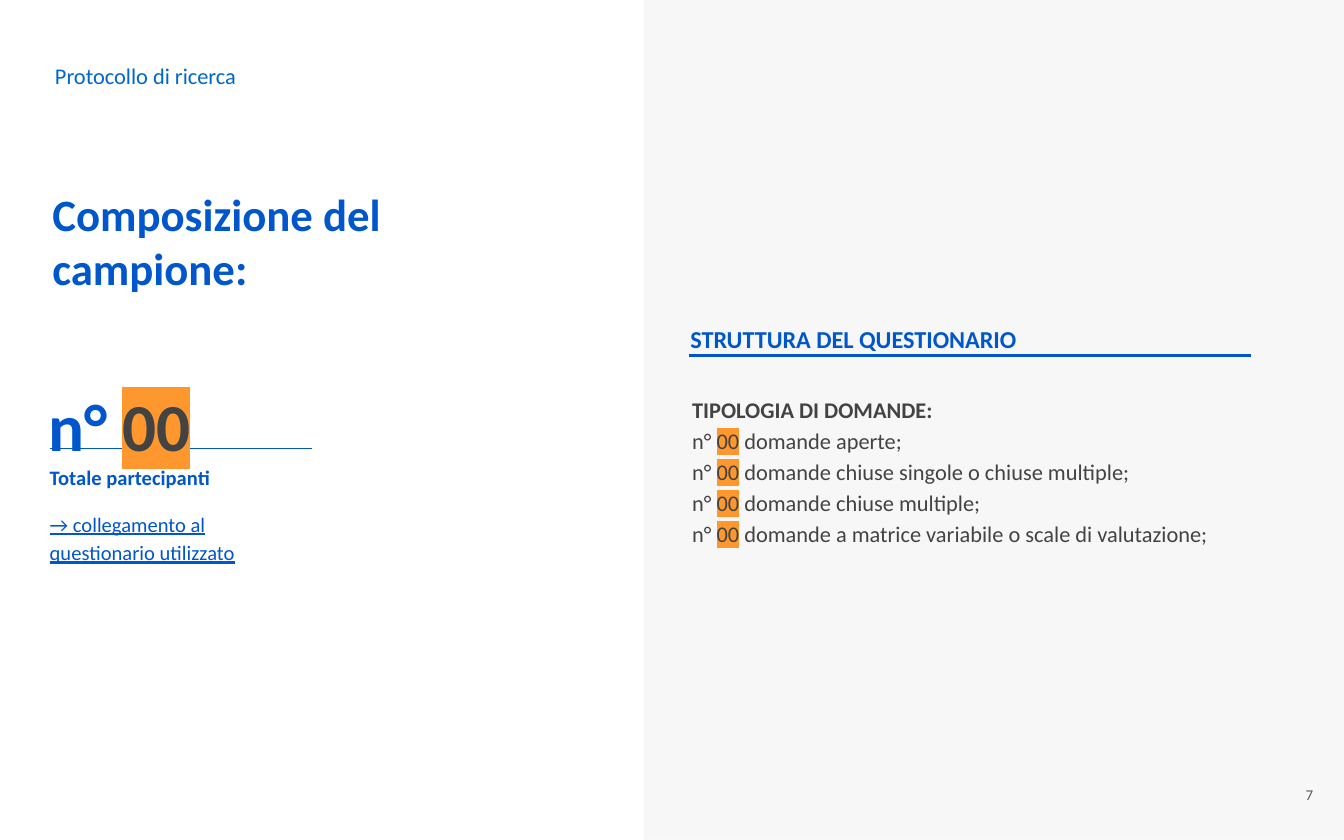
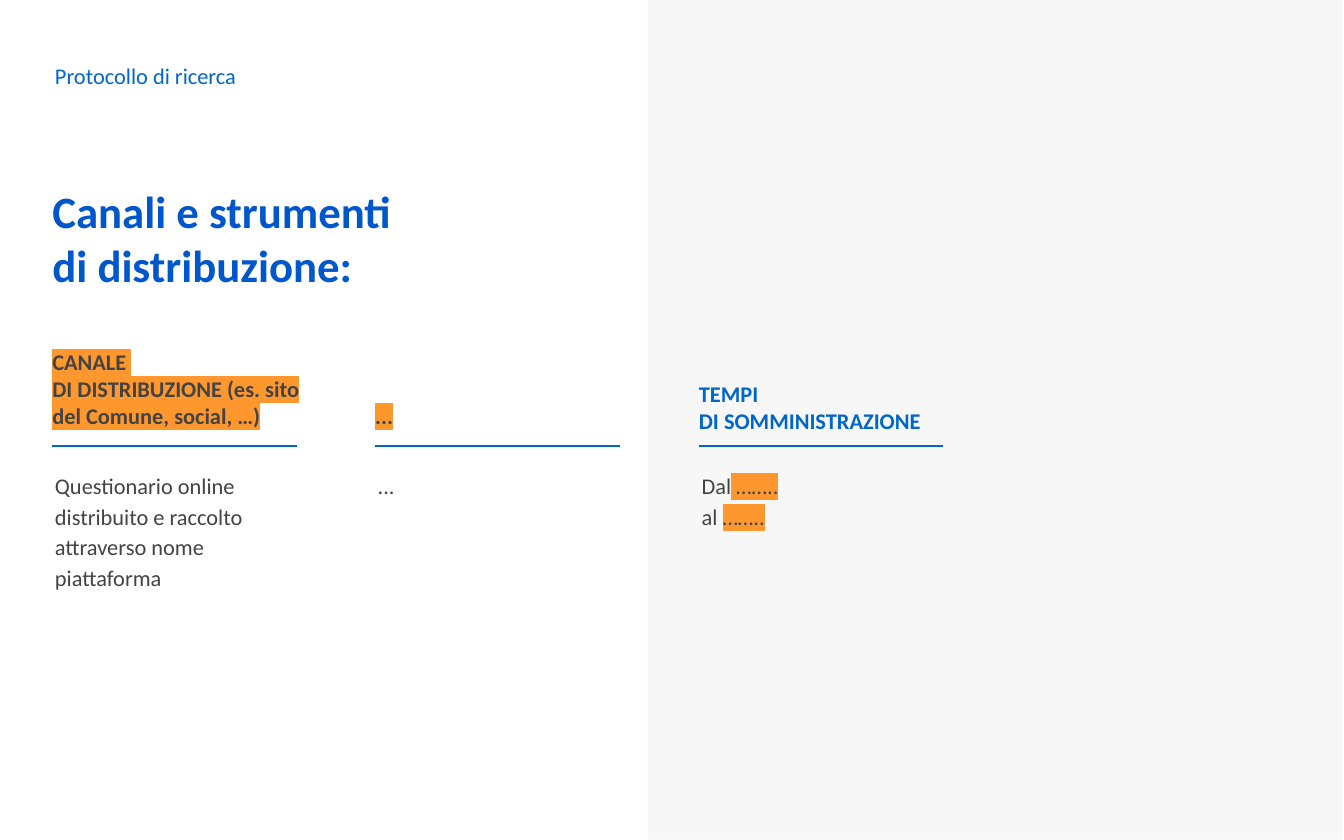
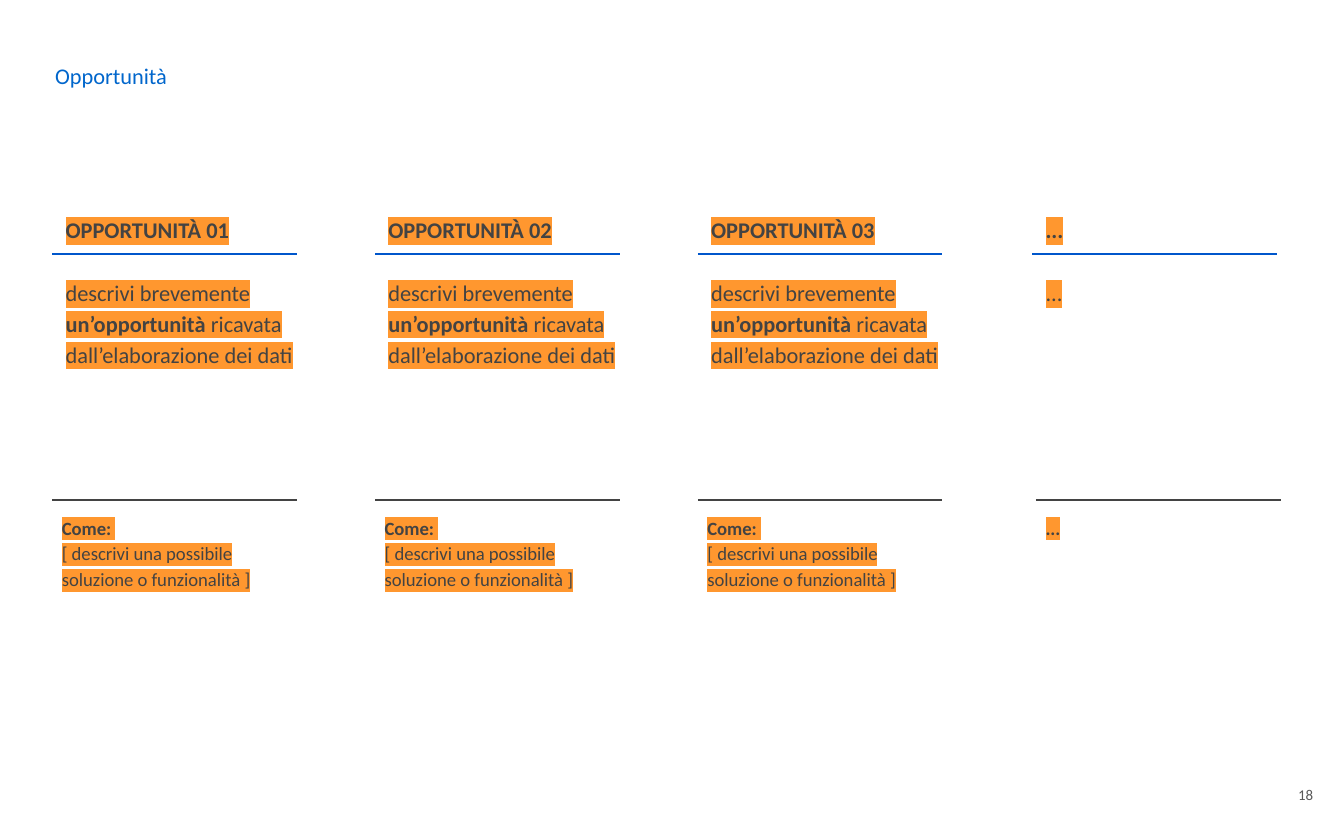
import pptx
import pptx.dml.color
import pptx.enum.shapes
import pptx.enum.text
import pptx.oxml
import pptx.oxml.ns
import pptx.util
from pptx.util import Cm

FONT = "Calibri"
BLUE = "0056CB"
SECTION_BLUE = "0066CC"
DARK = "434343"
GREY = "595959"
PALE = "F7F7F7"
ORANGE = "FF972F"
WHITE = "FFFFFF"

TOP = pptx.enum.text.MSO_ANCHOR.TOP
MIDDLE = pptx.enum.text.MSO_ANCHOR.MIDDLE
BOTTOM = pptx.enum.text.MSO_ANCHOR.BOTTOM
LEFT = pptx.enum.text.PP_ALIGN.LEFT
RIGHT = pptx.enum.text.PP_ALIGN.RIGHT

MARGIN = 0.99
PITCH = 6.1
RULE_WIDTH = 4.62
INSET = 0.25
SECTION_BOX = (0.79, 0.99, 10.77, 0.86)
MARKED = {"highlight": ORANGE}
TITLE_STYLE = {"size": 24, "color": BLUE, "bold": True}


def rgb(value):
    return pptx.dml.color.RGBColor.from_string(value)


def add_run(paragraph, text, size=12, color=DARK, bold=False, underline=False, highlight=None):
    run = paragraph.add_run()
    run.text = text
    font = run.font
    font.name = FONT
    font.size = pptx.util.Pt(size)
    font.bold = bold
    font.underline = underline
    font.color.rgb = rgb(color)
    if highlight:
        properties = run._r.get_or_add_rPr()
        marker = pptx.oxml.parse_xml(
            f'<a:highlight {pptx.oxml.ns.nsdecls("a")}><a:srgbClr val="{highlight}"/></a:highlight>'
        )
        properties.find(pptx.oxml.ns.qn("a:solidFill")).addnext(marker)


def remove_bullet(paragraph):
    properties = paragraph._p.get_or_add_pPr()
    properties.set("marL", "0")
    properties.set("indent", "0")
    properties.append(pptx.oxml.parse_xml(f'<a:buNone {pptx.oxml.ns.nsdecls("a")}/>'))


def add_text(slide, box, lines, holder=None, anchor=TOP, align=LEFT, spacing=1.0, **style):
    left, top, width, height = map(Cm, box)
    if holder is None:
        area = slide.shapes.add_textbox(left, top, width, height)
    else:
        area = holder
        area.left, area.top, area.width, area.height = left, top, width, height
        slide.shapes._spTree.append(area._element)
    frame = area.text_frame
    frame.word_wrap = True
    frame.auto_size = pptx.enum.text.MSO_AUTO_SIZE.NONE
    frame.vertical_anchor = anchor
    frame.margin_left = frame.margin_right = Cm(INSET)
    frame.margin_top = frame.margin_bottom = Cm(INSET)
    for index, line in enumerate(lines):
        paragraph = frame.add_paragraph() if index else frame.paragraphs[0]
        paragraph.alignment = align
        paragraph.line_spacing = spacing
        paragraph.space_before = pptx.util.Pt(0)
        if holder is not None:
            remove_bullet(paragraph)
        for part in [(line, {})] if isinstance(line, str) else line:
            text, changes = part
            add_run(paragraph, text, **{**style, **changes})


def add_rule(slide, left, top, width=RULE_WIDTH, color=BLUE, weight=1.5):
    rule = slide.shapes.add_connector(
        pptx.enum.shapes.MSO_CONNECTOR.STRAIGHT, Cm(left), Cm(top), Cm(left + width), Cm(top)
    )
    rule.line.color.rgb = rgb(color)
    rule.line.width = pptx.util.Pt(weight)
    rule._element.spPr.append(pptx.oxml.parse_xml(f'<a:effectLst {pptx.oxml.ns.nsdecls("a")}/>'))


def add_panel(slide, left, width):
    panel = slide.shapes.add_shape(
        pptx.enum.shapes.MSO_SHAPE.RECTANGLE, Cm(left), Cm(-0.03), Cm(width), Cm(15.9)
    )
    panel.shadow.inherit = False
    panel.fill.solid()
    panel.fill.fore_color.rgb = rgb(PALE)
    panel.line.fill.background()


def add_section(slide, section, holder=None):
    add_text(slide, SECTION_BOX, [section], holder, anchor=MIDDLE, color=SECTION_BLUE)


def add_page_number(slide, number):
    add_text(slide, (23.55, 14.4, 1.52, 1.22), [number],
             anchor=MIDDLE, align=RIGHT, size=8, color=GREY)


def new_slide(deck, layout):
    slide = deck.slides.add_slide(deck.slide_layouts.get_by_name(layout))
    slide.background.fill.solid()
    slide.background.fill.fore_color.rgb = rgb(WHITE)
    return slide


def build_sample(deck):
    slide = new_slide(deck, "Title and Content")
    add_panel(slide, 12.17, 13.23)
    add_page_number(slide, "7")
    add_section(slide, "Protocollo di ricerca")
    kinds = ["aperte;", "chiuse singole o chiuse multiple;", "chiuse multiple;",
             "a matrice variabile o scale di valutazione;"]
    questions = [[("n° ", {}), ("00", MARKED), (f" domande {kind}", {})] for kind in kinds]
    add_text(slide, (12.83, 7.16, 12.34, 3.63),
             [[("TIPOLOGIA DI DOMANDE:", {"bold": True})], *questions],
             slide.placeholders[1], spacing=1.15)
    add_text(slide, (12.8, 5.87, 7.57, 0.86), ["STRUTTURA DEL QUESTIONARIO"],
             size=13, color=BLUE, bold=True)
    add_rule(slide, 13.03, 6.72, 10.62)
    add_text(slide, (0.69, 8.46, 5.21, 0.89), ["Totale partecipanti"],
             spacing=1.15, size=11, color=BLUE, bold=True)
    add_rule(slide, 0.94, 8.48, 4.95, weight=0.75)
    add_text(slide, (0.66, 6.78, 4.6, 1.45),
             [[("n° ", {}), ("00", {"color": DARK, **MARKED})]],
             spacing=1.15, size=36, color=BLUE, bold=True)
    add_text(slide, (0.74, 3.28, 8.99, 2.18), ["Composizione del campione:"],
             slide.shapes.title, **TITLE_STYLE)
    add_text(slide, (0.69, 9.35, 5.21, 0.89), ["→ collegamento al questionario utilizzato"],
             spacing=1.15, size=11, color=BLUE, underline=True)


def add_channel(slide, left, heading, details, heading_top=7.49, anchor=BOTTOM, **style):
    add_text(slide, (left - 0.25, heading_top, 5.41, 0.86), heading,
             anchor=anchor, bold=True, **style)
    add_rule(slide, left, 8.43, color=SECTION_BLUE)
    add_text(slide, (left - 0.2, 8.59, 4.83, 4.55), details, spacing=1.15)


def build_channels(deck):
    slide = new_slide(deck, "Title Only")
    add_panel(slide, 12.24, 13.13)
    add_section(slide, "Protocollo di ricerca")
    add_text(slide, (0.74, 3.23, 12.45, 2.44), ["Canali e strumenti", "di distribuzione:"],
             slide.shapes.title, **TITLE_STYLE)
    add_channel(slide, MARGIN,
                ["CANALE ", "DI DISTRIBUZIONE (es. sito del Comune, social, …)"],
                ["Questionario online distribuito e raccolto attraverso nome piattaforma"], **MARKED)
    add_channel(slide, MARGIN + PITCH, ["..."], ["..."], **MARKED)
    add_channel(slide, MARGIN + 2 * PITCH + 0.02, ["TEMPI", "DI SOMMINISTRAZIONE"],
                [[("Dal", {}), (" ……..", MARKED)], [("al ", {}), ("……..", MARKED)]],
                heading_top=6.93, anchor=TOP, color=SECTION_BLUE)


def add_opportunity(slide, left, heading, description, solution, solution_left, solution_rule_left):
    add_text(slide, (left, 3.84, 4.88, 0.86), [heading], bold=True, **MARKED)
    add_rule(slide, left, 4.8)
    add_text(slide, (left, 4.95, 4.8, 5.72), [description], spacing=1.15, **MARKED)
    add_text(slide, (solution_left, 9.45, 4.62, 3.07), solution, spacing=1.15, size=10, **MARKED)
    add_rule(slide, solution_rule_left, 9.45, color=DARK, weight=0.75)


def build_opportunities(deck):
    slide = new_slide(deck, "Title Only")
    add_page_number(slide, "18")
    add_section(slide, "Opportunità", slide.shapes.title)
    bold = {"bold": True}
    description = [("descrivi brevemente ", {}), ("un’opportunità ", bold),
                   ("ricavata dall’elaborazione dei dati", {})]
    solution = [[("Come: ", bold)], "[ descrivi una possibile soluzione o funzionalità ]"]
    for index in range(3):
        left = MARGIN + index * PITCH
        add_opportunity(slide, left, f"OPPORTUNITÀ {index + 1:02}", description, solution,
                        left - 0.07, left)
    add_opportunity(slide, 19.51, "...", "...", [[("...", bold)]], 19.51, 19.58)


def main():
    deck = pptx.Presentation()
    deck.slide_width = Cm(25.4)
    deck.slide_height = deck.slide_width * 5 // 8
    build_sample(deck)
    build_channels(deck)
    build_opportunities(deck)
    deck.save("out.pptx")


if __name__ == "__main__":
    main()
